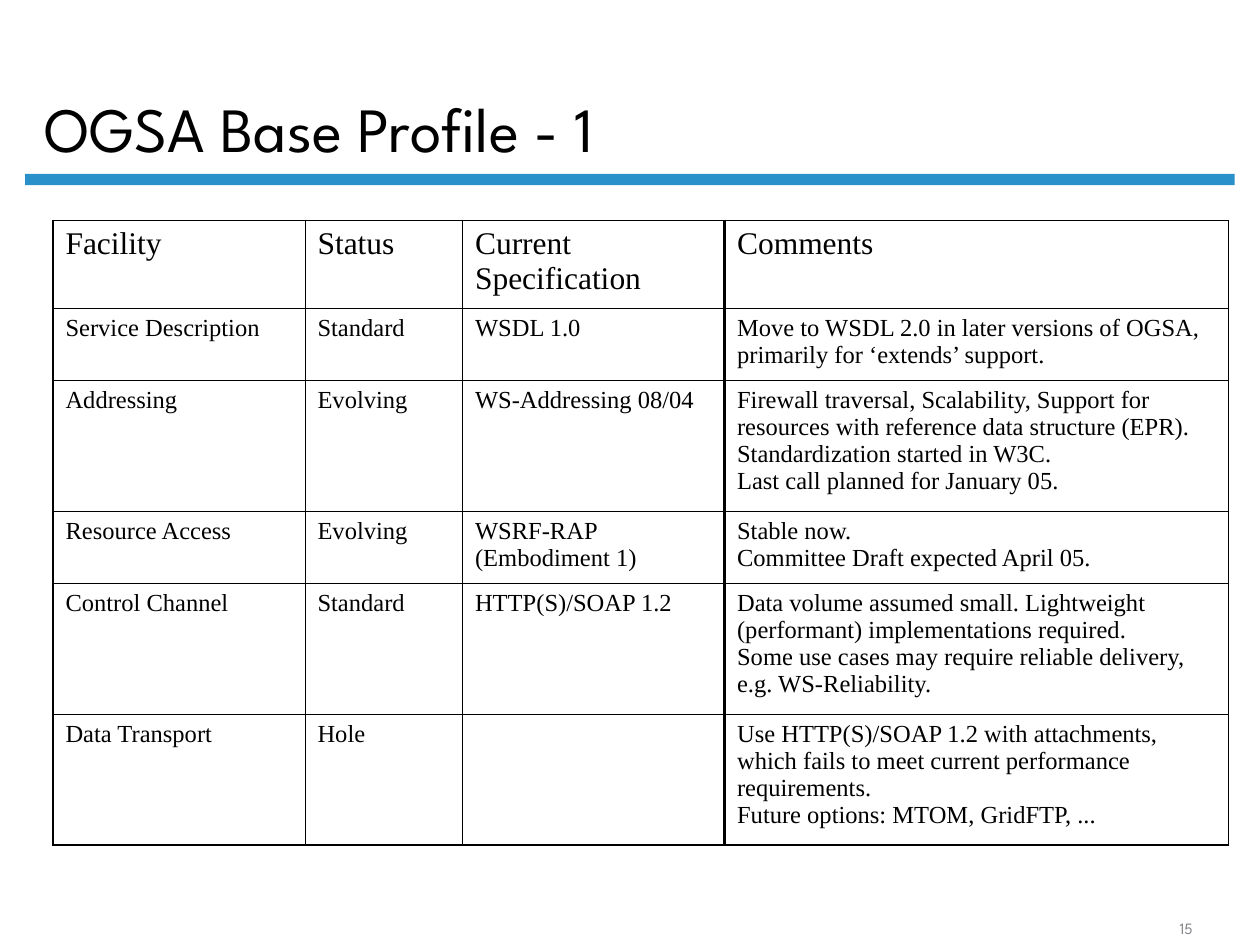
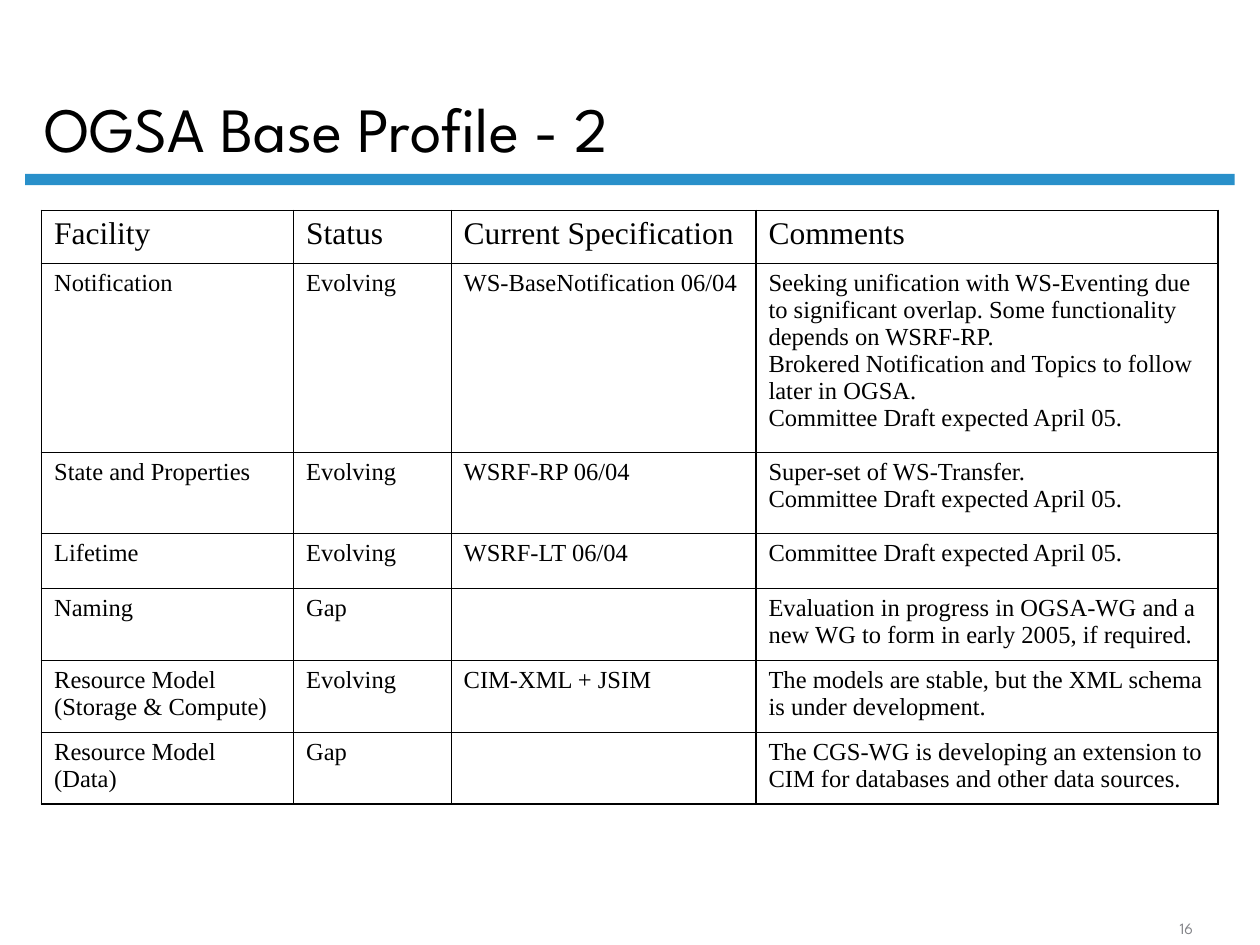
from dataclasses import dataclass

from lxml.etree import SubElement
from pptx import Presentation
from pptx.dml.color import RGBColor
from pptx.enum.shapes import MSO_SHAPE
from pptx.enum.text import MSO_ANCHOR, MSO_AUTO_SIZE, PP_ALIGN
from pptx.oxml.ns import qn
from pptx.util import Inches, Pt


@dataclass(frozen=True)
class Theme:
    """Colours, fonts, type sizes and line widths shared by the slides."""
    band: str = "2990CA"
    ink: str = "000000"
    number: str = "848589"
    heading_font: str = "League Spartan"
    table_font: str = "Times New Roman"
    title_size: int = 36
    header_size: int = 18
    body_size: int = 14
    number_size: int = 9
    grid_line: float = 0.45
    outer_line: float = 1.08
    divider_line: float = 1.47


THEME = Theme()
TITLE_ONLY = 5
COMMENTS_COLUMN = 3
HEADERS = ("Facility", "Status", "Current Specification", "Comments")

PROFILES = [
    {
        "title": "OGSA Base Profile - 1",
        "number": "15",
        "position": (0.42, 1.75),
        "widths": (2, 1.25, 2.08, 4),
        "heights": (0.7, 0.57, 1.04, 0.57, 1.04, 1.04),
        "facilities": [
            ("Service Description", "Standard", "WSDL 1.0",
             "Move to WSDL 2.0 in later versions of OGSA, primarily for ‘extends’ support."),
            ("Addressing", "Evolving", "WS-Addressing 08/04",
             "Firewall traversal, Scalability, Support for resources with reference "
             "data structure (EPR). Standardization started in W3C.\n"
             "Last call planned for January 05."),
            ("Resource Access", "Evolving", "WSRF-RAP (Embodiment 1)",
             "Stable now.\nCommittee Draft expected April 05."),
            ("Control Channel", "Standard", "HTTP(S)/SOAP 1.2",
             "Data volume assumed small. Lightweight (performant) implementations required.\n"
             "Some use cases may require reliable delivery, e.g. WS-Reliability."),
            ("Data Transport", "Hole", "",
             "Use HTTP(S)/SOAP 1.2 with attachments, which fails to meet current "
             "performance requirements.\nFuture options: MTOM, GridFTP, ..."),
        ],
    },
    {
        "title": "OGSA Base Profile - 2",
        "number": "16",
        "position": (0.33, 1.67),
        "widths": (2, 1.25, 2.42, 3.67),
        "heights": (0.42, 1.5, 0.64, 0.44, 0.57, 0.57, 0.57),
        "facilities": [
            ("Notification", "Evolving", "WS-BaseNotification 06/04",
             "Seeking unification with WS-Eventing due to significant overlap. "
             "Some functionality depends on WSRF-RP.\n"
             "Brokered Notification and Topics to follow later in OGSA.\n"
             "Committee Draft expected April 05."),
            ("State and Properties", "Evolving", "WSRF-RP 06/04",
             "Super-set of WS-Transfer.\nCommittee Draft expected April 05."),
            ("Lifetime", "Evolving", "WSRF-LT 06/04", "Committee Draft expected April 05."),
            ("Naming", "Gap", "",
             "Evaluation in progress in OGSA-WG and a new WG to form in early 2005, if required."),
            ("Resource Model (Storage & Compute)", "Evolving", "CIM-XML + JSIM",
             "The models are stable, but the XML schema is under development."),
            ("Resource Model (Data)", "Gap", "",
             "The CGS-WG is developing an extension to CIM for databases and other data sources."),
        ],
    },
]


def write_text(text_frame, text, *, size, font=THEME.table_font, color=THEME.ink,
               align=PP_ALIGN.LEFT, line_spacing=None):
    """Fill a text frame with one formatted paragraph for each line."""
    text_frame.text = text
    text_frame.word_wrap = True
    for paragraph in text_frame.paragraphs:
        paragraph.alignment = align
        paragraph.line_spacing = line_spacing
        for run in paragraph.runs:
            run.font.size = Pt(size)
            run.font.name = font
            run.font.color.rgb = RGBColor.from_string(color)


def place(shape, left, top, width, height):
    """Move and size a shape, in inches."""
    shape.left, shape.top = Inches(left), Inches(top)
    shape.width, shape.height = Inches(width), Inches(height)


def add_band(slide):
    """Draw the coloured band below the title."""
    band = slide.shapes.add_shape(
        MSO_SHAPE.RECTANGLE, Inches(0.2), Inches(1.38), Inches(9.6), Inches(0.09))
    band.shadow.inherit = False
    band.fill.solid()
    band.fill.fore_color.rgb = RGBColor.from_string(THEME.band)
    band.line.fill.background()


def set_title(slide, text):
    """Place and write the slide title."""
    title = slide.shapes.title
    place(title, 0.25, 0.12, 8.56, 1.25)
    write_text(title.text_frame, text, size=THEME.title_size,
               font=THEME.heading_font, line_spacing=0.9)
    title.text_frame.vertical_anchor = MSO_ANCHOR.BOTTOM
    title.text_frame.auto_size = MSO_AUTO_SIZE.NONE


def add_slide_number(slide, number):
    """Write the slide number in the bottom right corner."""
    box = slide.shapes.add_textbox(Inches(9), Inches(7.25), Inches(0.83), Inches(0.24))
    write_text(box.text_frame, number, size=THEME.number_size, font=THEME.heading_font,
               color=THEME.number, align=PP_ALIGN.CENTER)
    box.text_frame.vertical_anchor = MSO_ANCHOR.BOTTOM


def edge_width(edge, edge_count, divider=None):
    """Return the line width of a grid edge, counted from the left or the top."""
    if edge in (0, edge_count):
        return THEME.outer_line
    return THEME.divider_line if edge == divider else THEME.grid_line


def set_borders(cell, widths):
    """Draw the four borders of a cell, given as tag and width in points."""
    properties = cell._tc.get_or_add_tcPr()
    for tag, width in widths.items():
        line = SubElement(properties, qn(f"a:{tag}"), w=str(Pt(width)))
        fill = SubElement(line, qn("a:solidFill"))
        SubElement(fill, qn("a:srgbClr"), val=THEME.ink)


def add_facility_table(slide, position, widths, heights, facilities):
    """Add the facility table with its ruled grid."""
    left, top = position
    row_count, column_count = len(heights), len(widths)
    table = slide.shapes.add_table(
        row_count, column_count, Inches(left), Inches(top),
        Inches(sum(widths)), Inches(sum(heights))).table
    table.first_row = table.horz_banding = False
    for column, width in zip(table.columns, widths):
        column.width = Inches(width)
    for row, height in zip(table.rows, heights):
        row.height = Inches(height)
    for row_index, texts in enumerate([HEADERS, *facilities]):
        size = THEME.body_size if row_index else THEME.header_size
        for column_index, text in enumerate(texts):
            cell = table.cell(row_index, column_index)
            set_borders(cell, {
                "lnL": edge_width(column_index, column_count, COMMENTS_COLUMN),
                "lnR": edge_width(column_index + 1, column_count, COMMENTS_COLUMN),
                "lnT": edge_width(row_index, row_count),
                "lnB": edge_width(row_index + 1, row_count),
            })
            cell.fill.background()
            if text:
                write_text(cell.text_frame, text, size=size)


def add_profile_slide(presentation, profile):
    """Add one slide of the base profile."""
    slide = presentation.slides.add_slide(presentation.slide_layouts[TITLE_ONLY])
    add_band(slide)
    set_title(slide, profile["title"])
    add_facility_table(slide, profile["position"], profile["widths"],
                       profile["heights"], profile["facilities"])
    add_slide_number(slide, profile["number"])


def main():
    """Build and save the presentation."""
    presentation = Presentation()
    presentation.slide_width, presentation.slide_height = Inches(10), Inches(7.5)
    for profile in PROFILES:
        add_profile_slide(presentation, profile)
    presentation.save("out.pptx")


if __name__ == "__main__":
    main()
